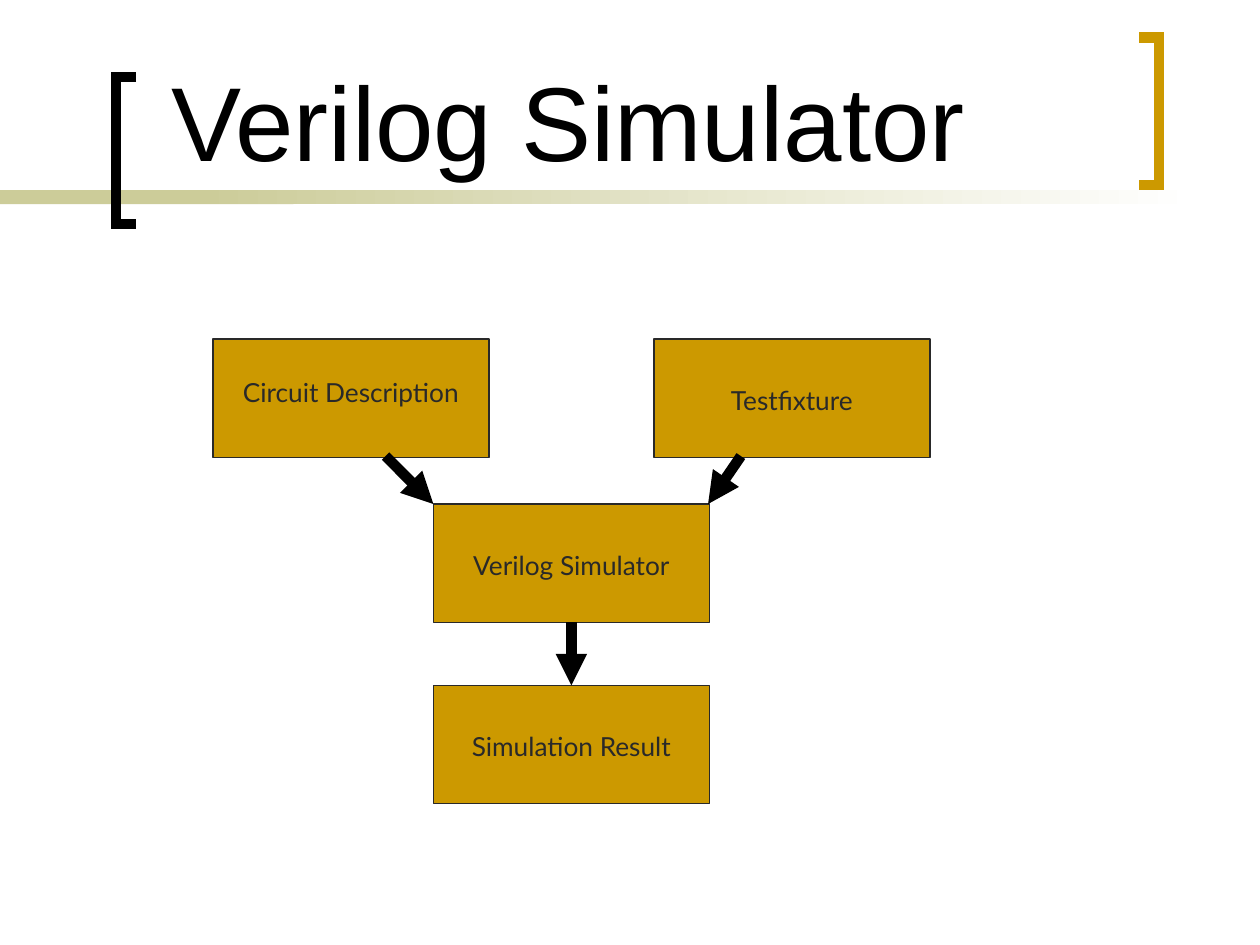
import pptx
import pptx.util
from lxml import etree
from pptx.dml.color import RGBColor
from pptx.enum.shapes import MSO_CONNECTOR, MSO_SHAPE
from pptx.enum.text import MSO_ANCHOR, PP_ALIGN
from pptx.oxml.ns import qn
from pptx.util import Inches

BLACK = RGBColor(0x00, 0x00, 0x00)
WHITE = RGBColor(0xFF, 0xFF, 0xFF)
GOLD = RGBColor(0xCC, 0x99, 0x00)
SAND = RGBColor(0xCC, 0xCC, 0x99)
CHARCOAL = RGBColor(0x29, 0x29, 0x29)

BOX_W, BOX_H = 2.19, 0.94
LABEL_W, LABEL_H = 2.06, 0.35
BOTTOM, TOP = 2, 0


class SlideBuilder:
    title_font, label_font = "Arial", "Lato"
    title_size, label_size = 60, 15
    heavy, thin = 6, 0.75

    def __init__(self, slide):
        self.slide = slide

    def bar(self, left, top, width, height, fade_to=None):
        bar = self.rectangle(left, top, width, height)
        bar.line.fill.background()
        if fade_to is None:
            bar.fill.solid()
            bar.fill.fore_color.rgb = SAND
        else:
            bar.fill.gradient()
            bar.fill.gradient_angle = 0
            stops = bar.fill.gradient_stops
            for stop, color, position in zip(stops, (SAND, fade_to), (0, 1)):
                stop.color.rgb = color
                stop.position = position

    def rectangle(self, left, top, width, height):
        shape = self.slide.shapes.add_shape(
            MSO_SHAPE.RECTANGLE, Inches(left), Inches(top), Inches(width), Inches(height))
        shape.shadow.inherit = False
        return shape

    def bracket(self, spine, tips, top, color):
        bottom = top + 1.17
        points = [(Inches(x), Inches(y)) for x, y in
                  ((tips, top), (spine, top), (spine, bottom), (tips, bottom))]
        outline = self.slide.shapes.build_freeform(*points[0])
        outline.add_line_segments(points[1:], close=False)
        bracket = outline.convert_to_shape()
        bracket.shadow.inherit = False
        bracket.fill.background()
        bracket.line.color.rgb = color
        bracket.line.width = pptx.util.Pt(self.heavy)
        line = bracket.line._get_or_add_ln()
        etree.SubElement(line, qn("a:miter"), lim="800000")

    def text(self, words, left, top, width, height, font, size, color,
             align=PP_ALIGN.LEFT, anchor=MSO_ANCHOR.TOP):
        frame = self.slide.shapes.add_textbox(
            Inches(left), Inches(top), Inches(width), Inches(height)).text_frame
        frame.word_wrap = True
        frame.vertical_anchor = anchor
        paragraph = frame.paragraphs[0]
        paragraph.alignment = align
        run = paragraph.add_run()
        run.text = words
        run.font.name = font
        run.font.size = pptx.util.Pt(size)
        run.font.color.rgb = color

    def title(self, words):
        self.text(words, 1.26, 0.25, 7.5, 1.25, self.title_font, self.title_size,
                  BLACK, anchor=MSO_ANCHOR.BOTTOM)

    def stage(self, left, top):
        stage = self.rectangle(left, top, BOX_W, BOX_H)
        stage.fill.solid()
        stage.fill.fore_color.rgb = GOLD
        stage.line.color.rgb = CHARCOAL
        stage.line.width = pptx.util.Pt(self.thin)
        return stage

    def label(self, words, left, top):
        self.text(words, left, top, LABEL_W, LABEL_H, self.label_font,
                  self.label_size, CHARCOAL, align=PP_ALIGN.CENTER)

    def arrow(self, start, end):
        arrow = self.slide.shapes.add_connector(
            MSO_CONNECTOR.STRAIGHT, *(Inches(value) for value in start + end))
        arrow.line.color.rgb = BLACK
        arrow.line.width = pptx.util.Pt(self.heavy)
        etree.SubElement(arrow.line._get_or_add_ln(), qn("a:tailEnd"), type="triangle")
        etree.SubElement(arrow._element.spPr, qn("a:effectLst"))
        return arrow


def main():
    deck = pptx.Presentation()
    deck.slide_width, deck.slide_height = Inches(10), Inches(7.5)
    builder = SlideBuilder(deck.slides.add_slide(deck.slide_layouts[6]))

    # Title with its band and brackets
    builder.bar(0, 1.51, 2.33, 0.11)
    builder.bar(1.58, 1.51, 7.92, 0.11, fade_to=WHITE)
    builder.bracket(spine=0.92, tips=1.08, top=0.61, color=BLACK)
    builder.bracket(spine=9.2, tips=9.04, top=0.3, color=GOLD)
    builder.title("Verilog Simulator")

    # Stages: name, left, top, label offset from the top
    stages = (
        ("Circuit Description", 1.69, 2.69, 0.25),
        ("Testfixture", 5.19, 2.69, 0.31),
        ("Verilog Simulator", 3.44, 4, 0.31),
        ("Simulation Result", 3.44, 5.44, 0.31),
    )
    boxes = {name: builder.stage(left, top) for name, left, top, _ in stages}

    # Flow from the two inputs through the simulator to the result
    builder.arrow((3.06, 3.62), (3.44, 4))
    builder.arrow((5.88, 3.62), (5.62, 4))
    output = builder.arrow((4.5, 4.94), (4.5, 5.44))
    output.begin_connect(boxes["Verilog Simulator"], BOTTOM)
    output.end_connect(boxes["Simulation Result"], TOP)

    # Stage labels, centred across their boxes
    for name, left, top, offset in stages:
        builder.label(name, left + (BOX_W - LABEL_W) / 2, top + offset)

    deck.save("out.pptx")


if __name__ == "__main__":
    main()
